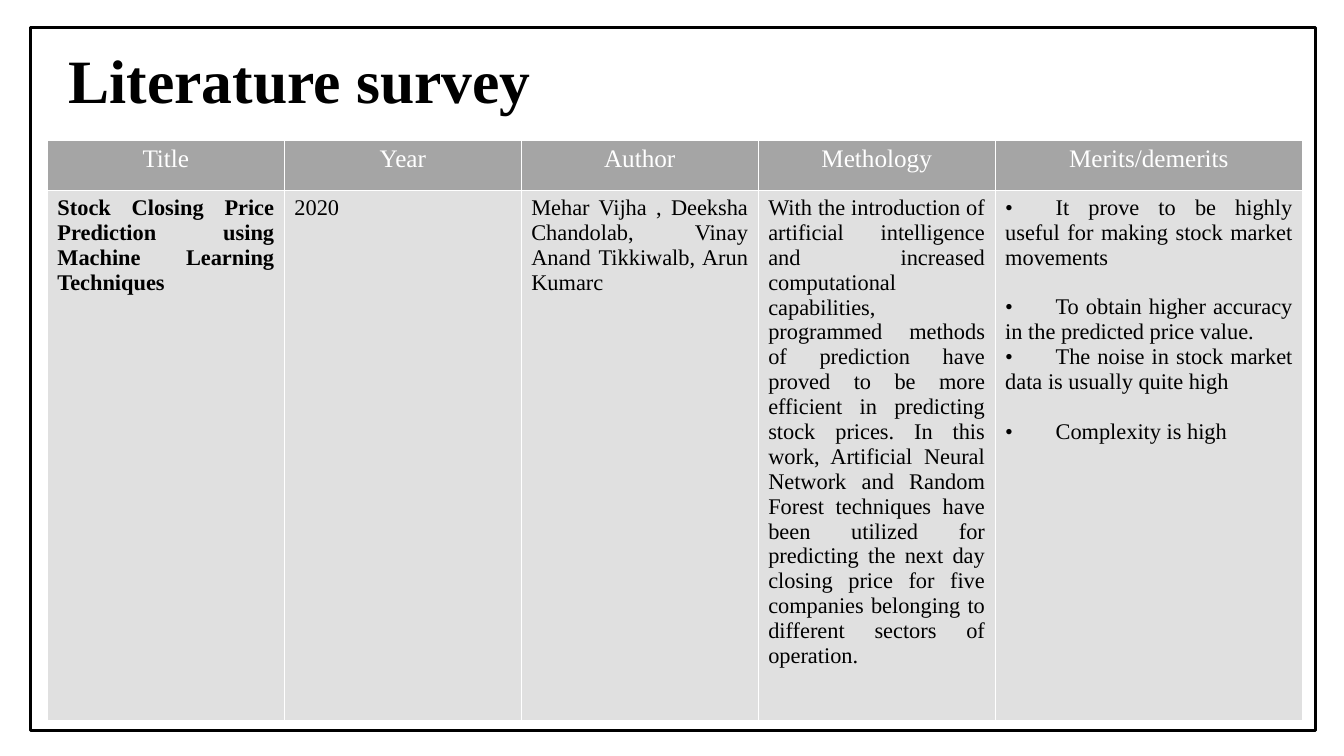
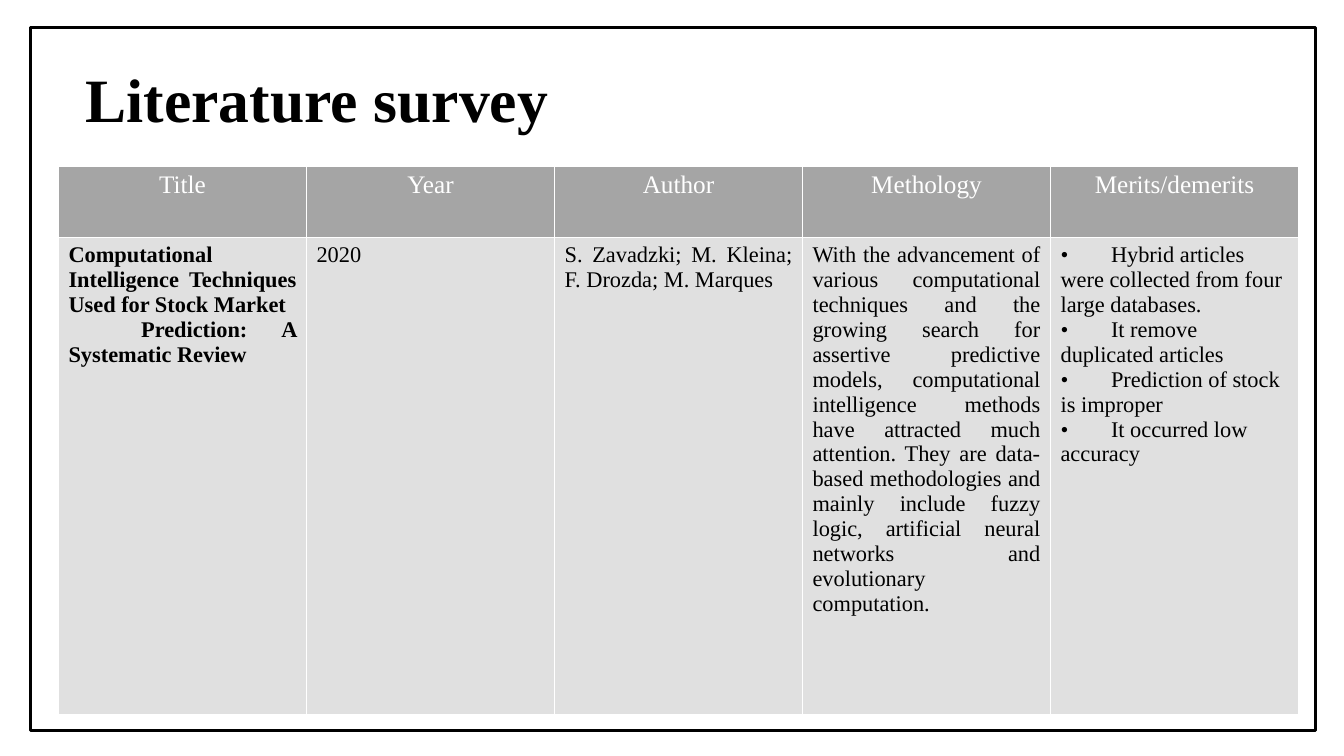
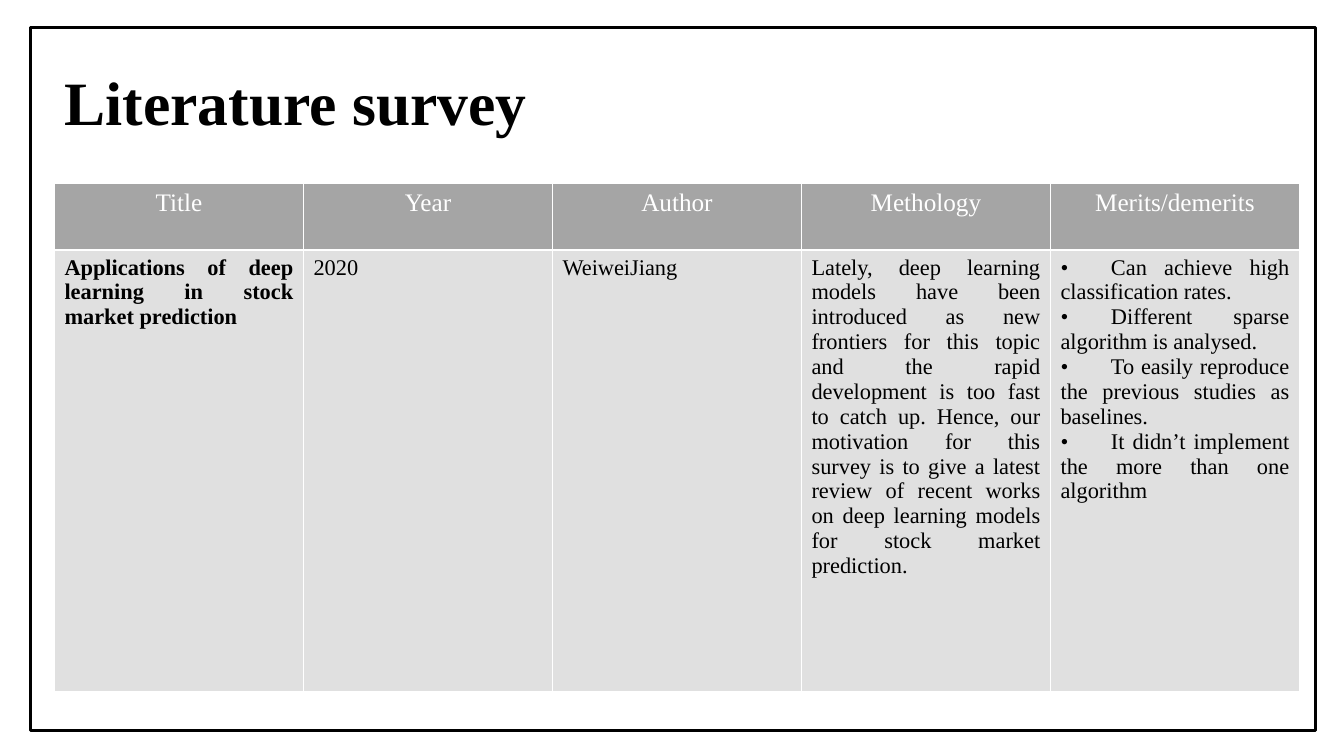
from lxml import etree
from pptx import Presentation
from pptx.dml.color import RGBColor
from pptx.enum import shapes, text
from pptx.oxml import ns
from pptx.util import Inches, Pt

INK = {"text": "000000", "head": "A5A5A5", "body": "E0E0E0", "white": "FFFFFF"}
FONT = "Times New Roman"
ALIGN = text.PP_ALIGN
FRAME = (0.3, 0.27, 12.75, 6.98)
HEADS = ["Title", "Year", "Author", "Methology", "Merits/demerits"]

SURVEYS = [
    {
        "title": (0.58, 0.4, 12.27, 0.85),
        "table": (0.47, 1.39),
        "cols": [2.35] * 4 + [3.05],
        "rows": [0.5, 5.26],
        "paper": ["Stock Closing Price Prediction using Machine Learning Techniques"],
        "author": "Mehar Vijha , Deeksha Chandolab, Vinay Anand Tikkiwalb, Arun Kumarc",
        "method": "With the introduction of artificial intelligence and increased "
                  "computational capabilities, programmed methods of prediction have "
                  "proved to be more efficient in predicting stock prices. In this work, "
                  "Artificial Neural Network and Random Forest techniques have been "
                  "utilized for predicting the next day closing price for five companies "
                  "belonging to different sectors of operation.",
        "merits": ["It prove to be highly useful for making stock market movements",
                   "To obtain higher accuracy in the predicted price value.",
                   "The noise in stock market data is usually quite high",
                   "Complexity is high"],
        "gaps": {0: 17.7, 2: 17.7},
    },
    {
        "title": (0.75, 0.39, 11.84, 1.26),
        "table": (0.58, 1.65),
        "cols": [2.46] * 5,
        "rows": [0.71, 4.73],
        "paper": ["Computational Intelligence Techniques Used for Stock Market",
                  "Prediction: A Systematic Review"],
        "indents": {1: 0.72},
        "author": "S. Zavadzki; M. Kleina; F. Drozda; M. Marques",
        "method": "With the advancement of various computational techniques and the "
                  "growing search for assertive predictive models, computational "
                  "intelligence methods have attracted much attention. They are "
                  "data-based methodologies and mainly include fuzzy logic, artificial "
                  "neural networks and evolutionary computation.",
        "merits": ["Hybrid articles were collected from four large databases.",
                   "It remove duplicated articles",
                   "Prediction of stock is improper",
                   "It occurred low accuracy"],
        "align": ALIGN.LEFT,
    },
    {
        "title": (0.54, 0.4, 12.35, 1.29),
        "table": (0.54, 1.82),
        "cols": [2.47] * 5,
        "rows": [0.66, 4.38],
        "paper": ["Applications of deep learning in stock market prediction"],
        "author": "WeiweiJiang",
        "method": "Lately, deep learning models have been introduced as new frontiers "
                  "for this topic and the rapid development is too fast to catch up. "
                  "Hence, our motivation for this survey is to give a latest review of "
                  "recent works on deep learning models for stock market prediction.",
        "merits": ["Can achieve high classification rates.",
                   "Different sparse algorithm is analysed.",
                   "To easily reproduce the previous studies as baselines.",
                   "It didn’t implement the more than one algorithm"],
    },
]


def color(name):
    return RGBColor.from_string(INK[name])


def write(frame, lines, size=16, ink="text", bold=False, align=ALIGN.JUSTIFY,
          space=None, gaps=None, indents=None):
    for i, line in enumerate(lines):
        para = frame.paragraphs[0] if i == 0 else frame.add_paragraph()
        para.alignment = align
        if space:
            para.line_spacing = space
        if gaps and i in gaps:
            para.space_after = Pt(gaps[i])
        if indents and i in indents:
            para._p.get_or_add_pPr().set("indent", str(Inches(indents[i])))
        run = para.add_run()
        run.text = line
        font = run.font
        font.name, font.size, font.bold = FONT, Pt(size), bold
        font.color.rgb = color(ink)


def edge(cell):
    props = cell._tc.get_or_add_tcPr()
    for i, side in enumerate(("lnL", "lnR", "lnT", "lnB")):
        line = etree.Element(ns.qn("a:" + side), w=str(Pt(0.96)))
        fill = etree.SubElement(line, ns.qn("a:solidFill"))
        etree.SubElement(fill, ns.qn("a:srgbClr"), val=INK["white"])
        props.insert(i, line)


def fill_cell(cell, lines, back, **form):
    cell.fill.solid()
    cell.fill.fore_color.rgb = color(back)
    edge(cell)
    write(cell.text_frame, lines, **form)


def add_title(slide, box):
    title = slide.shapes.title
    title.left, title.top, title.width, title.height = map(Inches, box)
    frame = title.text_frame
    frame.auto_size = text.MSO_AUTO_SIZE.NONE
    frame.vertical_anchor = text.MSO_ANCHOR.MIDDLE
    write(frame, ["Literature survey"], size=44, bold=True, align=ALIGN.LEFT, space=0.9)


def add_grid(slide, item):
    cols, rows = item["cols"], item["rows"]
    box = (*item["table"], sum(cols), sum(rows))
    grid = slide.shapes.add_table(len(rows), len(cols), *map(Inches, box)).table
    for col, width in zip(grid.columns, cols):
        col.width = Inches(width)
    for row, height in zip(grid.rows, rows):
        row.height = Inches(height)
    for i, head in enumerate(HEADS):
        fill_cell(grid.cell(0, i), [head], "head", size=18, ink="white", align=ALIGN.CENTER)
    merits = ["•\t" + merit for merit in item["merits"]]
    body = [
        (item["paper"], {"bold": True, "indents": item.get("indents")}),
        (["2020"], {}),
        ([item["author"]], {}),
        ([item["method"]], {}),
        (merits, {"align": item.get("align", ALIGN.JUSTIFY), "gaps": item.get("gaps")}),
    ]
    for i, (lines, form) in enumerate(body):
        fill_cell(grid.cell(1, i), lines, "body", **form)


def add_frame(slide, box):
    frame = slide.shapes.add_shape(shapes.MSO_SHAPE.RECTANGLE, *map(Inches, box))
    frame.shadow.inherit = False
    frame.fill.background()
    frame.line.color.rgb = color("text")
    frame.line.width = Pt(2)


def add_survey(deck, item):
    slide = deck.slides.add_slide(deck.slide_layouts[5])
    slide.background.fill.solid()
    slide.background.fill.fore_color.rgb = color("white")
    add_title(slide, item["title"])
    add_grid(slide, item)
    add_frame(slide, FRAME)


def main():
    deck = Presentation()
    deck.slide_width, deck.slide_height = Inches(13.33), Inches(7.5)
    for item in SURVEYS:
        add_survey(deck, item)
    deck.save("out.pptx")


if __name__ == "__main__":
    main()
